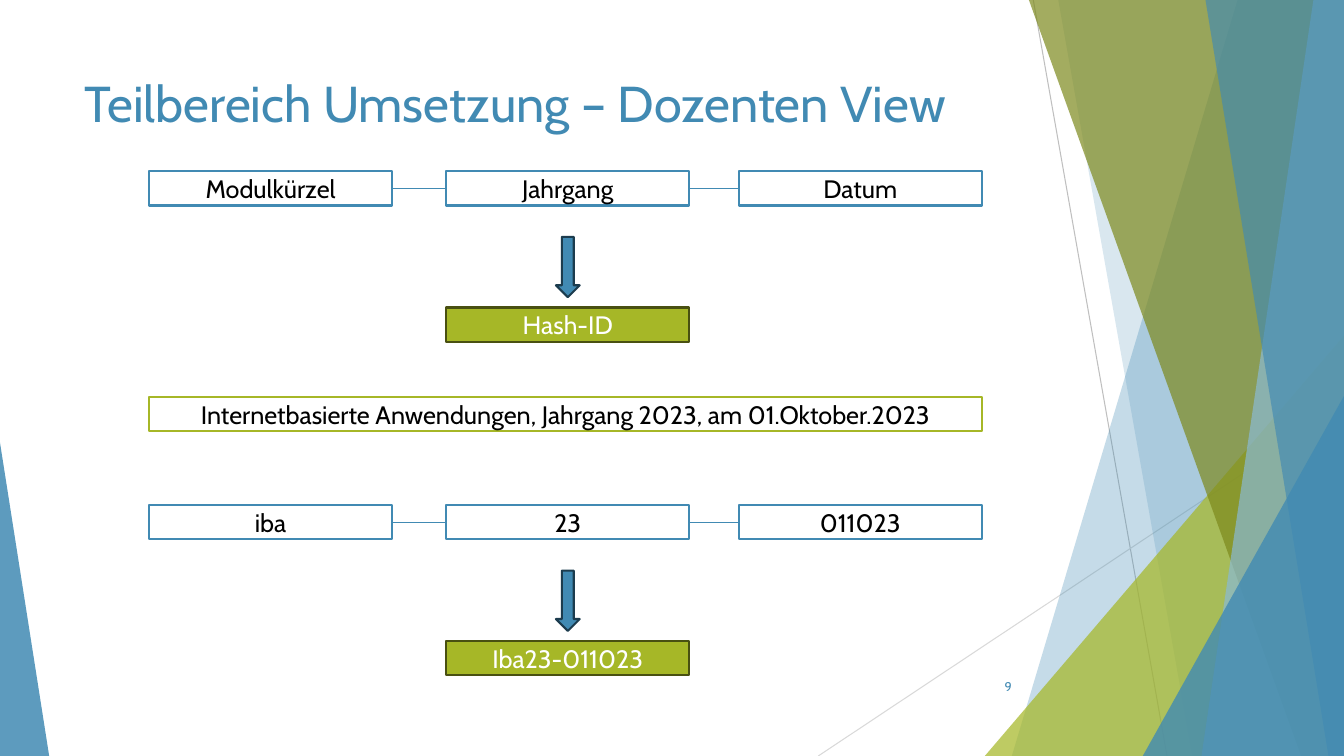
from dataclasses import dataclass

from lxml.etree import SubElement
from pptx import Presentation
from pptx.dml.color import RGBColor
from pptx.enum.shapes import MSO_CONNECTOR as Connector, MSO_SHAPE as Shape
from pptx.enum.text import MSO_ANCHOR as Anchor, PP_ALIGN as Align
from pptx.oxml.ns import qn
from pptx.util import Cm, Pt


@dataclass(frozen=True)
class Theme:
    font: str = "Cabin"
    title_size: float = 36
    body_size: float = 18
    number_size: float = 9
    thin: float = 0.75
    link: float = 1
    border: float = 1.5
    blue: str = "418AB3"
    pale_blue: str = "8ABAD4"
    dark_blue: str = "1C3C4E"
    green: str = "A6B727"
    olive: str = "7D891D"
    dark_olive: str = "495011"
    grey: str = "BFBFBF"
    pale_grey: str = "D9D9D9"
    white: str = "FFFFFF"
    black: str = "000000"


@dataclass(frozen=True)
class Box:
    """A region of the slide, in centimetres."""
    left: float
    top: float
    width: float
    height: float

    @property
    def right(self):
        return self.left + self.width

    @property
    def bottom(self):
        return self.top + self.height

    def lengths(self):
        return Cm(self.left), Cm(self.top), Cm(self.width), Cm(self.height)


THEME = Theme()
SLIDE = Box(0, 0, 33.87, 19.05)

# Flow measures: cells share one size, the gaps follow from the width
CELL_WIDTH, CELL_HEIGHT = 6.12, 0.86
MIDDLE_LEFT = 7.49
ARROW_WIDTH, ARROW_HEIGHT, ARROW_DROP = 0.6, 1.52, 1.65


# Shared helpers
def paint(shape, fill, line=None, alpha=100):
    shape.shadow.inherit = False
    shape.fill.solid()
    shape.fill.fore_color.rgb = RGBColor.from_string(fill)
    if alpha < 100:
        color = shape.fill._xPr.find(qn("a:solidFill"))[0]
        SubElement(color, qn("a:alpha")).set("val", str(alpha * 1000))
    if line:
        shape.line.color.rgb = RGBColor.from_string(line)
        shape.line.width = Pt(THEME.border)
    else:
        shape.line.fill.background()


def write(shape, text, size, color, align, anchor):
    frame = shape.text_frame
    frame.word_wrap = True
    frame.vertical_anchor = anchor
    para = frame.paragraphs[0]
    para.alignment = align
    span = para.add_run()
    span.text = text
    span.font.name = THEME.font
    span.font.size = Pt(size)
    span.font.color.rgb = RGBColor.from_string(color)


def add_line(page, start, end, color, width):
    line = page.shapes.add_connector(
        Connector.STRAIGHT, *(Cm(value) for value in (*start, *end)))
    line.line.color.rgb = RGBColor.from_string(color)
    line.line.width = Pt(width)
    SubElement(line._element.spPr, qn("a:effectLst"))


def add_label(page, box, text, size, align, anchor):
    label = page.shapes.add_textbox(*box.lengths())
    write(label, text, size, THEME.blue, align, anchor)


def add_cell(page, box, text, fill, line, color=THEME.black):
    cell = page.shapes.add_shape(Shape.RECTANGLE, *box.lengths())
    paint(cell, fill, line)
    cell.text_frame.margin_top = cell.text_frame.margin_bottom = 0
    write(cell, text, THEME.body_size, color, Align.CENTER, Anchor.MIDDLE)


# Decoration along the slide edges
def add_band(page, box, top_left, bottom_left, color, alpha):
    """A band that reaches from a slanted left edge to the right of the box."""
    builder = page.shapes.build_freeform(Cm(top_left), Cm(box.top))
    builder.add_line_segments([
        (Cm(box.right), Cm(box.top)),
        (Cm(box.right), Cm(box.bottom)),
        (Cm(bottom_left), Cm(box.bottom)),
    ])
    paint(builder.convert_to_shape(), color, alpha=alpha)


def add_corner(page, box, apex, color, alpha):
    corner = page.shapes.add_shape(Shape.ISOSCELES_TRIANGLE, *box.lengths())
    corner.adjustments[0] = apex
    paint(corner, color, alpha=alpha)


def add_facets(page, box):
    def right_corner(left, top, color, alpha):
        area = Box(left, top, box.right - left, box.bottom - top)
        add_corner(page, area, 1, color, alpha)

    add_line(page, (26.04, box.top), (29.41, box.bottom), THEME.grey, THEME.thin)
    add_line(page, (box.right, 10.24), (20.62, box.bottom), THEME.pale_grey, THEME.thin)
    add_band(page, box, 31.19, 25.5, THEME.blue, 30)
    add_band(page, box, 26.67, 30.05, THEME.blue, 20)
    right_corner(24.82, 8.46, THEME.green, 72)
    add_band(page, box, 25.93, 32.79, THEME.olive, 70)
    add_band(page, box, 33.1, 30.28, THEME.pale_blue, 70)
    add_band(page, box, 30.38, 33.48, THEME.blue, 65)
    right_corner(28.8, 9.98, THEME.blue, 80)
    add_corner(page, Box(box.left, 11.15, 1.24, box.bottom - 11.15), 0, THEME.blue, 85)


# Three linked parts, an arrow and the resulting ID
def add_flow(page, box, parts, result):
    lefts = (box.left, box.left + MIDDLE_LEFT, box.right - CELL_WIDTH)
    for left, text in zip(lefts, parts):
        add_cell(page, Box(left, box.top, CELL_WIDTH, CELL_HEIGHT), text,
                 THEME.white, THEME.blue)

    result_box = Box(lefts[1], box.bottom - CELL_HEIGHT, CELL_WIDTH, CELL_HEIGHT)
    add_cell(page, result_box, result, THEME.green, THEME.dark_olive, THEME.white)

    arrow_box = Box(lefts[1] + (CELL_WIDTH - ARROW_WIDTH) / 2, box.top + ARROW_DROP,
                    ARROW_WIDTH, ARROW_HEIGHT)
    arrow = page.shapes.add_shape(Shape.DOWN_ARROW, *arrow_box.lengths())
    paint(arrow, THEME.blue, THEME.dark_blue)

    middle = box.top + CELL_HEIGHT / 2
    for left, following in zip(lefts, lefts[1:]):
        add_line(page, (left + CELL_WIDTH, middle), (following, middle),
                 THEME.blue, THEME.link)


def main():
    deck = Presentation()
    deck.slide_width, deck.slide_height = Cm(SLIDE.width), Cm(SLIDE.height)
    page = deck.slides.add_slide(deck.slide_layouts[6])

    add_facets(page, SLIDE)
    add_label(page, Box(1.88, 1.7, 23.88, 3.66), "Teilbereich Umsetzung – Dozenten View",
              THEME.title_size, Align.LEFT, Anchor.TOP)
    add_label(page, Box(23.85, 16.79, 1.9, 1.02), "9",
              THEME.number_size, Align.RIGHT, Anchor.MIDDLE)

    # Scheme above, worked example below
    add_flow(page, Box(3.76, 4.32, 20.98, 4.29),
             ("Modulkürzel", "Jahrgang", "Datum"), "Hash-ID")
    add_flow(page, Box(3.76, 12.73, 20.98, 4.29),
             ("iba", "23", "011023"), "Iba23-011023")
    add_cell(page, Box(3.76, 10.01, 20.98, CELL_HEIGHT),
             "Internetbasierte Anwendungen, Jahrgang 2023, am 01.Oktober.2023",
             THEME.white, THEME.green)

    deck.save("out.pptx")


if __name__ == "__main__":
    main()
